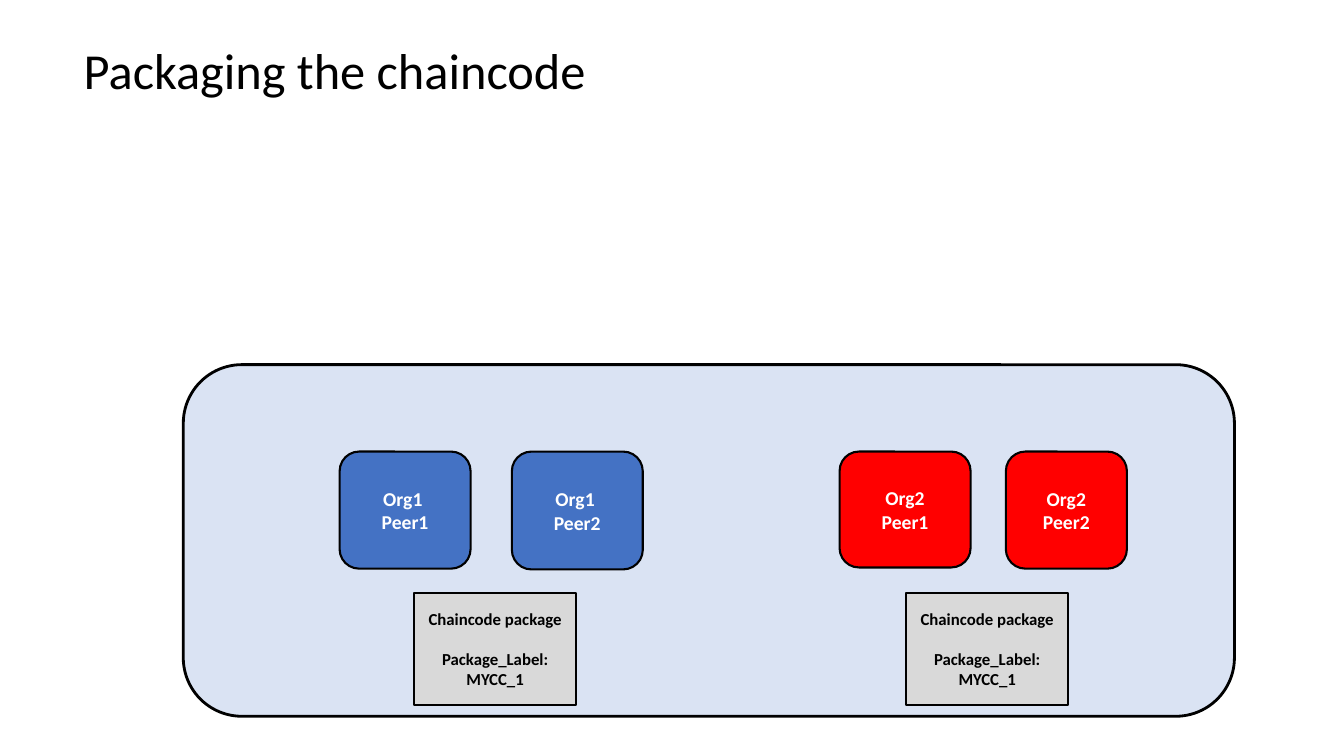
from pptx import Presentation
from pptx.dml.color import RGBColor
from pptx.enum.shapes import MSO_SHAPE as SHAPE
from pptx.enum.text import MSO_ANCHOR as ANCHOR, MSO_AUTO_SIZE as AUTOSIZE, PP_ALIGN as ALIGN
from pptx.util import Cm, Pt

BLACK = RGBColor(0x00, 0x00, 0x00)
WHITE = RGBColor(0xFF, 0xFF, 0xFF)
PALE_BLUE = RGBColor(0xDA, 0xE3, 0xF3)
BLUE = RGBColor(0x44, 0x72, 0xC4)
RED = RGBColor(0xFF, 0x00, 0x00)
GREY = RGBColor(0xD9, 0xD9, 0xD9)
FONT = "Calibri"


def set_font(p, size, color, bold=False):
    """Format a whole paragraph."""
    p.font.name, p.font.size, p.font.bold = FONT, Pt(size), bold
    p.font.color.rgb = color


def add_box(slide, kind, box, fill, line_width=1.5):
    """Add an outlined shape; box is left, top, width, height in cm."""
    sp = slide.shapes.add_shape(kind, *map(Cm, box))
    sp.shadow.inherit = False
    sp.fill.solid()
    sp.fill.fore_color.rgb = fill
    sp.line.color.rgb = BLACK
    sp.line.width = Pt(line_width)
    return sp


def add_label(sp, lines, size, color, gap=0):
    """Write centred bold lines in a shape, with a gap in points between them."""
    tf = sp.text_frame
    tf.word_wrap = True
    tf.vertical_anchor = ANCHOR.MIDDLE
    for i, line in enumerate(lines):
        p = tf.add_paragraph() if i else tf.paragraphs[0]
        p.text = line
        p.alignment = ALIGN.CENTER
        p.space_before = Pt(gap if i else 0)
        set_font(p, size, color, bold=True)


def add_title(slide, box, text):
    """Place and format the title placeholder."""
    title = slide.shapes.title
    title.left, title.top, title.width, title.height = map(Cm, box)
    tf = title.text_frame
    tf.text = text
    tf.word_wrap = True
    tf.auto_size = AUTOSIZE.NONE
    tf.vertical_anchor = ANCHOR.MIDDLE
    tf.margin_left = tf.margin_right = tf.margin_top = tf.margin_bottom = Cm(0.13)
    p = tf.paragraphs[0]
    p.alignment = ALIGN.LEFT
    p.line_spacing = 0.9
    set_font(p, 36, BLACK)


def add_organisation(slide, box, name, color, peer_sizes):
    """Place two peers at the box's sides and their package centred below."""
    left, top, width, height = box
    (w1, _), (w2, _) = peer_sizes
    peer_lefts = left, left + width - w2
    for i, (x, (w, h)) in enumerate(zip(peer_lefts, peer_sizes), 1):
        peer = add_box(slide, SHAPE.ROUNDED_RECTANGLE, (x, top, w, h), color)
        add_label(peer, [name, f"Peer{i}"], 14, WHITE)

    pack_w, pack_h = 4.09, 2.82
    pack_left = left + (width - pack_w) / 2 + 0.1
    package = add_box(slide, SHAPE.RECTANGLE,
                      (pack_left, top + height - pack_h, pack_w, pack_h), GREY)
    add_label(package, ["Chaincode package", "Package_Label: MYCC_1"], 12, BLACK, gap=14.6)


def add_network(slide, box):
    """Draw the network panel with both organisations inside it."""
    left, top, _, _ = box
    add_box(slide, SHAPE.ROUNDED_RECTANGLE, box, PALE_BLUE, line_width=2)
    organisations = [
        (3.94, 7.64, "Org1 ", BLUE, [(3.3, 2.95), (3.3, 2.97)]),
        (16.54, 7.24, "Org2", RED, [(3.3, 2.92), (3.05, 2.95)]),
    ]
    for dx, width, name, color, peer_sizes in organisations:
        add_organisation(slide, (left + dx, top + 2.19, width, 6.38),
                         name, color, peer_sizes)


def main():
    """Build and save the slide."""
    prs = Presentation()
    prs.slide_width, prs.slide_height = Cm(33.87), Cm(19.05)
    slide = prs.slides.add_slide(prs.slide_layouts[5])
    add_title(slide, (1.98, 0.63, 29.21, 2.41), "Packaging the chaincode")
    add_network(slide, (4.62, 9.19, 26.49, 8.86))
    prs.save("out.pptx")


main()
